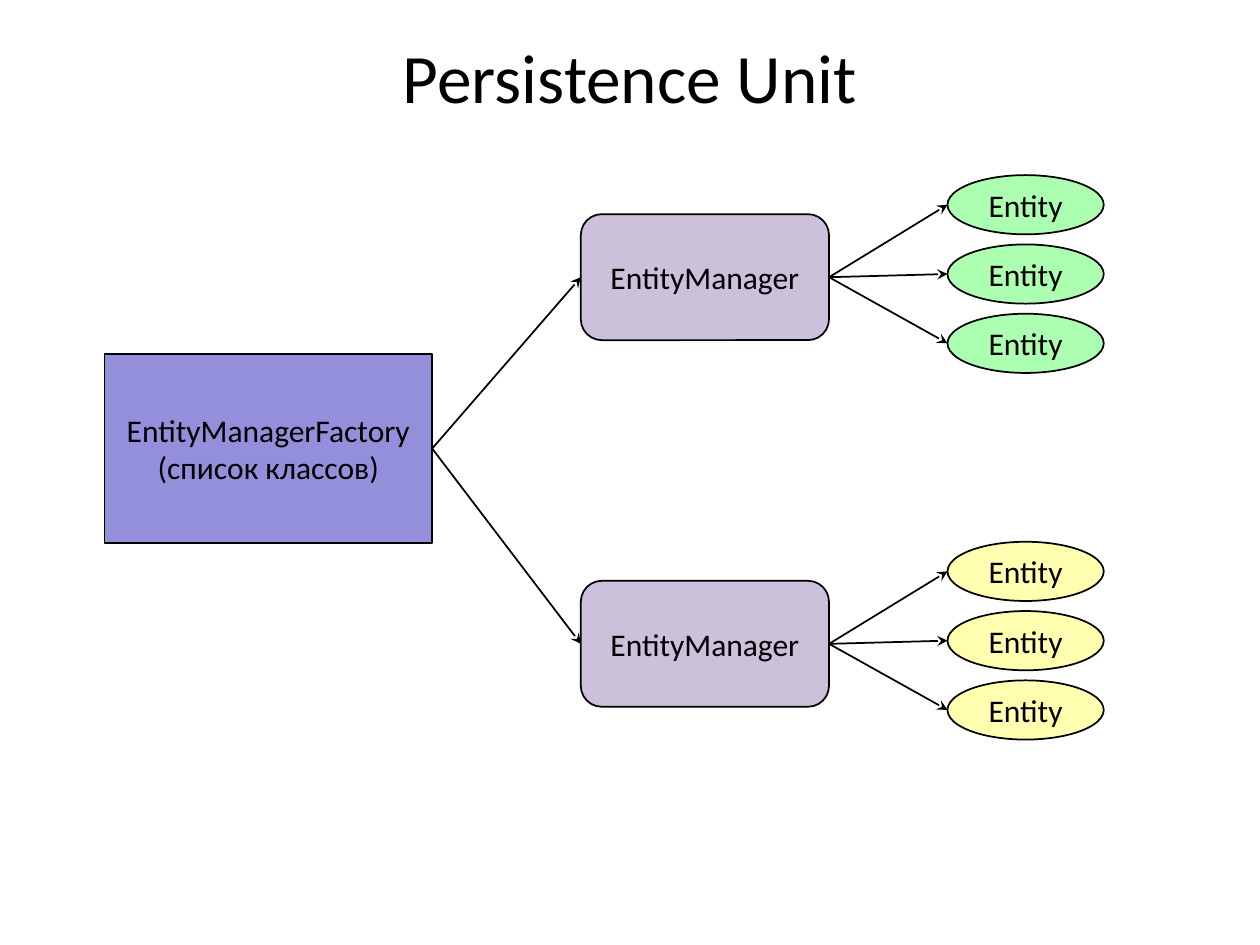
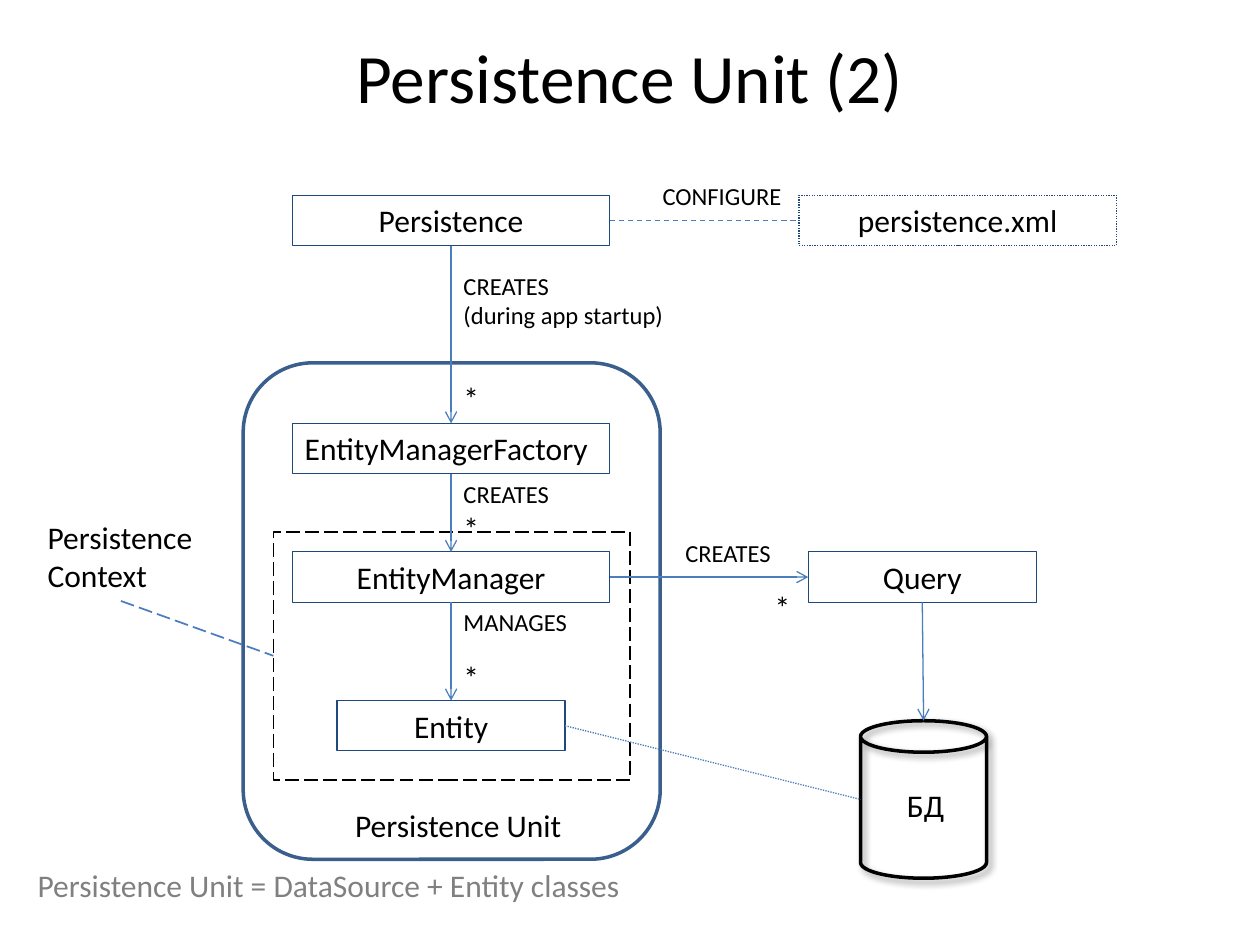
from dataclasses import dataclass

from lxml import etree
from pptx import Presentation
from pptx import util as u
from pptx.dml.color import RGBColor
from pptx.enum import dml, shapes, text
from pptx.oxml.ns import qn


@dataclass(frozen=True)
class Theme:
    font: str = "Calibri"
    title: float = 39.6
    body: int = 18
    small: int = 14
    ink: str = "000000"
    muted: str = "808080"
    factory: str = "948FDB"
    manager: str = "CCC1DA"
    green: str = "ACFEB0"
    yellow: str = "FFFFAF"
    box: str = "1F497D"
    unit: str = "3A5F8C"
    link: str = "4B7EBC"


T = Theme()
W, H = 10, 7.5
KIND = shapes.MSO_SHAPE
DASH = dml.MSO_LINE
LEFT, CENTER = text.PP_ALIGN.LEFT, text.PP_ALIGN.CENTER
TOP, MIDDLE = text.MSO_ANCHOR.TOP, text.MSO_ANCHOR.MIDDLE

FACTORY = "EntityManagerFactory\n(список классов)"
GROUPS = [("EntityManager", ["Entity"] * 3, T.green),
          ("EntityManager", ["Entity"] * 3, T.yellow)]
GROUP_TOP, GROUP_PITCH = 1.39, 2.91
ENTITY_PITCH, MANAGER_DROP = 0.55, 0.31

AXIS, WIDE, NARROW, ROW = 3.58, 2.52, 1.81, 0.4
NODES = {
    "persistence": ("Persistence", AXIS, 1.55, WIDE, CENTER, None),
    "config": ("persistence.xml", 7.6, 1.55, WIDE, CENTER, DASH.ROUND_DOT),
    "factory": ("EntityManagerFactory", AXIS, 3.36, WIDE, LEFT, None),
    "manager": ("EntityManager", AXIS, 4.38, WIDE, CENTER, None),
    "query": ("Query", 7.32, 4.38, NARROW, CENTER, None),
    "entity": ("Entity", AXIS, 5.56, NARROW, CENTER, None),
}
LABELS = {
    "startup": ("CREATES\n(during app startup)", AXIS, 2.1, 1.85, T.small),
    "creates": ("CREATES", AXIS, 3.75, 0.89, T.small),
    "manages": ("MANAGES", AXIS, 4.77, 1.03, T.small),
    "configure": ("CONFIGURE", 5.16, 1.39, 1.15, T.small),
    "queries": ("CREATES", 5.34, 4.22, 0.89, T.small),
    "many factories": ("*", AXIS, 2.96, 0.33, T.body),
    "many managers": ("*", AXIS, 3.99, 0.33, T.body),
    "many entities": ("*", AXIS, 5.17, 0.33, T.body),
    "many queries": ("*", 6.05, 4.62, 0.33, T.body),
    "unit name": ("Persistence Unit", 2.72, 6.35, 1.86, T.body),
    "context": ("Persistence\nContext", 0.28, 4.06, 1.36, T.body),
    "db name": ("БД", 7.1, 6.19, 0.5, T.body),
}
SUMMARY = ("Persistence Unit = DataSource + Entity classes", 0.2, 6.82, 4.87, T.body)
LINKS = [
    ("persistence", "bottom", "factory", "top", {"head": "arrow"}),
    ("factory", "bottom", "manager", "top", {"head": "arrow"}),
    ("manager", "bottom", "entity", "top", {"head": "arrow"}),
    ("manager", "right", "query", "left", {"head": "arrow"}),
    ("query", "bottom", "db", "top", {"head": "arrow"}),
    ("persistence", "right", "config", "left", {"dash": DASH.DASH}),
    ("entity", "right", "db", "left", {"dash": DASH.ROUND_DOT}),
    ("context", "bottom", "frame", "left", {"dash": DASH.LONG_DASH, "width": 1}),
]
SIDES = {"top": (0.5, 0), "bottom": (0.5, 1), "left": (0, 0.5), "right": (1, 0.5)}


def apply(target, values):
    for name, value in values.items():
        setattr(target, name, value)


def write(sp, content, size=T.body, color=T.ink, align=CENTER, anchor=MIDDLE, wrap=True):
    tf = sp.text_frame
    apply(tf, {"word_wrap": wrap, "vertical_anchor": anchor})
    for i, line in enumerate(content.split("\n")):
        p = tf.paragraphs[0] if i == 0 else tf.add_paragraph()
        p.alignment = align
        r = p.add_run()
        r.text = line
        apply(r.font, {"name": T.font, "size": u.Pt(size)})
        r.font.color.rgb = RGBColor.from_string(color)


def stroke(line, color, width, dash=None):
    line.color.rgb = RGBColor.from_string(color)
    apply(line, {"width": u.Pt(width), "dash_style": dash})


def shape(s, kind, at, color=T.ink, width=1, fill=None, dash=None):
    sp = s.shapes.add_shape(kind, *map(u.Inches, at))
    sp.shadow.inherit = False
    if fill:
        sp.fill.solid()
        sp.fill.fore_color.rgb = RGBColor.from_string(fill)
    else:
        sp.fill.background()
    stroke(sp.line, color, width, dash)
    return sp


def label(s, content, left, top, width, size, color=T.ink):
    height = 0.1 + len(content.split("\n")) * size * 1.22 / 72
    sp = s.shapes.add_textbox(*map(u.Inches, (left, top, width, height)))
    write(sp, content, size, color, LEFT, TOP, wrap=False)
    sp.text_frame.auto_size = text.MSO_AUTO_SIZE.SHAPE_TO_FIT_TEXT
    return sp


def edge(sp, side):
    fx, fy = SIDES[side]
    return int(sp.left + sp.width * fx), int(sp.top + sp.height * fy)


def link(s, a, a_side, b, b_side, color=T.link, width=0.75, dash=None, head=None):
    cn = s.shapes.add_connector(shapes.MSO_CONNECTOR.STRAIGHT,
                                *edge(a, a_side), *edge(b, b_side))
    stroke(cn.line, color, width, dash)
    props = cn._element.spPr
    if head:
        etree.SubElement(props.find(qn("a:ln")), qn("a:tailEnd"), type=head)
    etree.SubElement(props, qn("a:effectLst"))


def cast_shadow(sp):
    effects = sp._element.spPr.find(qn("a:effectLst"))
    shadow = etree.SubElement(effects, qn("a:outerShdw"), blurRad=str(u.Pt(4)),
                              dist=str(u.Pt(3)), dir=str(45 * 60000),
                              algn="tl", rotWithShape="0")
    color = etree.SubElement(shadow, qn("a:srgbClr"), val=T.ink)
    etree.SubElement(color, qn("a:alpha"), val="40000")


def new_slide(prs, title):
    s = prs.slides.add_slide(prs.slide_layouts[6])
    box = (W * 0.05, H * 0.04, W * 0.9, 0.61)
    write(s.shapes.add_textbox(*map(u.Inches, box)), title, T.title)
    return s


def draw_hierarchy(prs):
    s = new_slide(prs, "Persistence Unit")
    arrow = {"color": T.ink, "width": 1, "head": "stealth"}
    factory = shape(s, KIND.RECTANGLE, (0.83, 2.81, 2.6, 1.5), fill=T.factory)
    write(factory, FACTORY)
    for g, (name, entities, fill) in enumerate(GROUPS):
        top = GROUP_TOP + g * GROUP_PITCH
        manager = shape(s, KIND.ROUNDED_RECTANGLE,
                        (4.61, top + MANAGER_DROP, 1.97, 1), fill=T.manager)
        write(manager, name)
        link(s, factory, "right", manager, "left", **arrow)
        for i, entity in enumerate(entities):
            sp = shape(s, KIND.OVAL, (7.52, top + i * ENTITY_PITCH, 1.24, 0.47), fill=fill)
            write(sp, entity)
            link(s, manager, "right", sp, "left", **arrow)


def draw_lifecycle(prs):
    s = new_slide(prs, "Persistence Unit (2)")
    parts = {"frame": shape(s, KIND.RECTANGLE, (2.17, 4.22, 2.83, 1.97),
                            dash=DASH.LONG_DASH)}
    shape(s, KIND.ROUNDED_RECTANGLE, (1.93, 2.88, 3.31, 3.94), T.unit, 2)
    for key, (name, center, top, width, align, dash) in NODES.items():
        parts[key] = shape(s, KIND.RECTANGLE, (center - width / 2, top, width, ROW),
                           T.box, 0.75, dash=dash)
        write(parts[key], name, align=align, anchor=TOP)
    parts["db"] = shape(s, KIND.CAN, (6.83, 5.72, 1, 1.25), width=2)
    cast_shadow(parts["db"])
    for key, args in LABELS.items():
        parts[key] = label(s, *args)
    label(s, *SUMMARY, color=T.muted)
    for a, a_side, b, b_side, style in LINKS:
        link(s, parts[a], a_side, parts[b], b_side, **style)


def main():
    prs = Presentation()
    apply(prs, {"slide_width": u.Inches(W), "slide_height": u.Inches(H)})
    draw_hierarchy(prs)
    draw_lifecycle(prs)
    prs.save("out.pptx")


if __name__ == "__main__":
    main()
